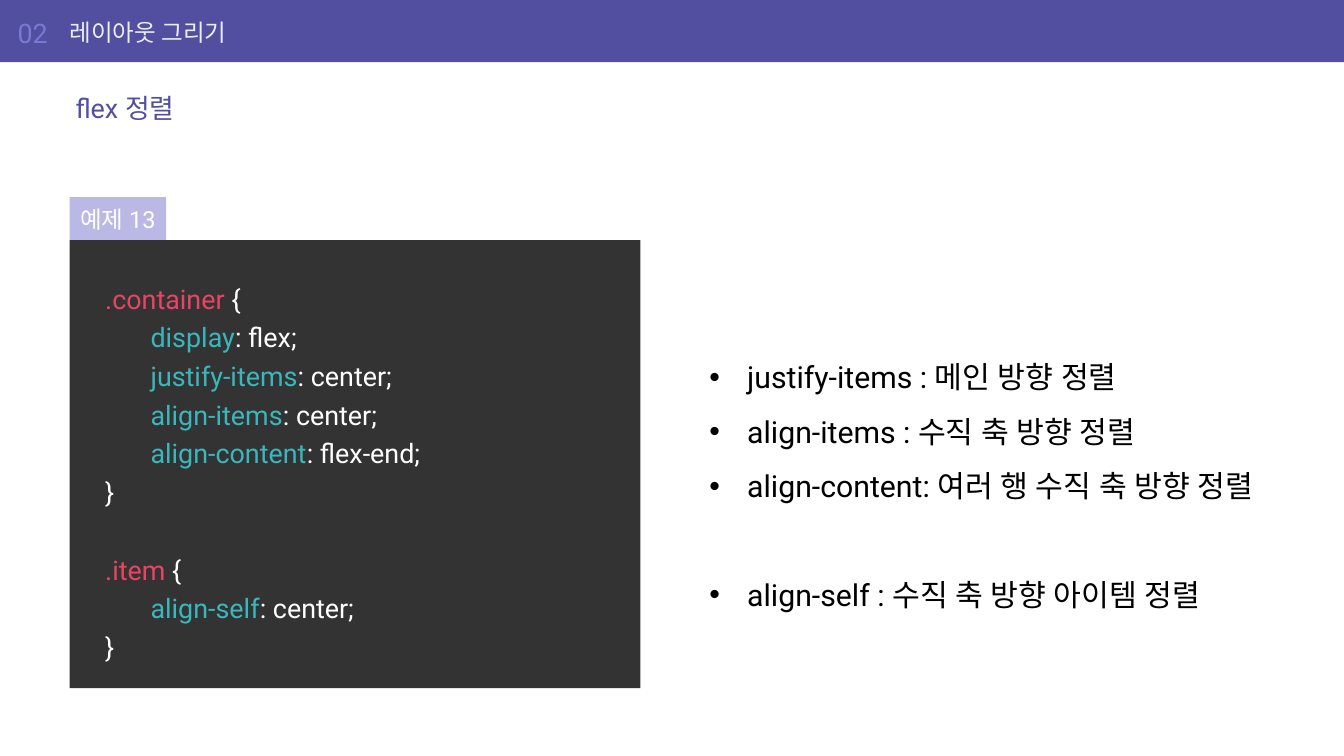
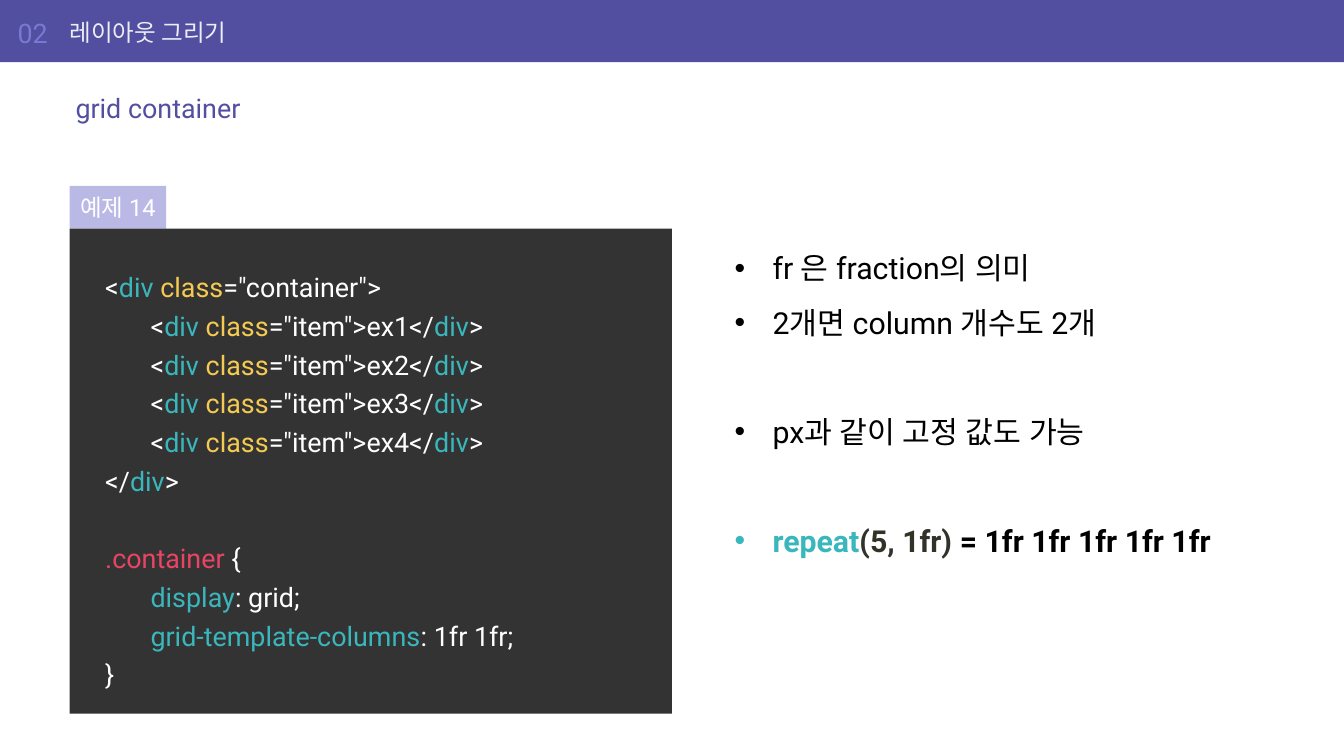
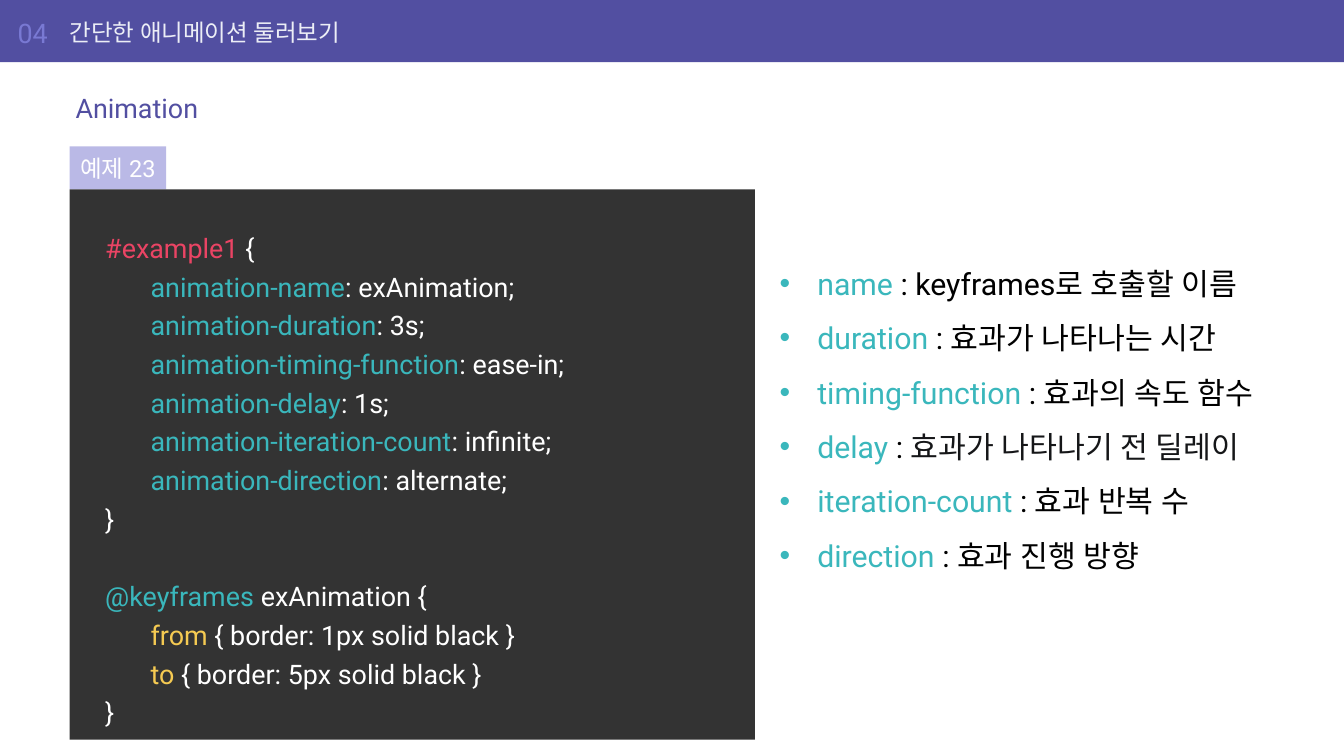
"""Build three lecture slides on CSS layout and animation."""
from dataclasses import dataclass
from typing import Any, NamedTuple

from lxml.etree import SubElement
from pptx import Presentation
from pptx.dml.color import RGBColor
from pptx.enum.shapes import MSO_SHAPE as Preset
from pptx.enum.text import MSO_ANCHOR as Anchor, PP_ALIGN as Align
from pptx.oxml.ns import qn
from pptx.slide import Slide
from pptx.util import Pt

COLOURS: dict[str, str] = {
    "band": "524FA1",
    "number": "7979D3",
    "chapter": "ECEEF6",
    "tag": "BAB9E6",
    "panel": "333333",
    "white": "FFFFFF",
    "black": "000000",
    "ink": "151618",
    "olive": "323228",
    "selector": "EA4464",
    "keyword": "3AB7BC",
    "attribute": "F5CA52",
}
FONT = "Roboto"
SLIDE_WIDTH, SLIDE_HEIGHT = 1600, 900
BAND_HEIGHT = 74
LEFT, RIGHT, REMARKS_BOTTOM = 82.8, 1517, 819.4
TAG_WIDTH, TAG_HEIGHT = 115, 51
CODE_INDENT, REMARK_INDENT = 54, 45


class Area(NamedTuple):
    left: float
    top: float
    width: float
    height: float


class Span(NamedTuple):
    text: str
    colour: str
    bold: bool = False


class Line(NamedTuple):
    spans: list[Span]
    gap_before: bool = False


@dataclass(frozen=True)
class Style:
    size: float
    frame: dict[str, Any]
    paragraph: dict[str, Any]
    gap: float = 0
    tab: float = 0
    bullet: float = 0


@dataclass(frozen=True)
class Lesson:
    number: str
    chapter: str
    topic: str
    example: str
    panel: Area
    code: list[Line]
    remarks_left: float
    remarks_top: float
    remarks: list[Line]


def margins(left: float, top: float, right: float, bottom: float) -> dict[str, Any]:
    """Return text frame margins in points."""
    return {"margin_left": Pt(left), "margin_top": Pt(top),
            "margin_right": Pt(right), "margin_bottom": Pt(bottom)}


HEADER_FRAME = {"word_wrap": True, "vertical_anchor": Anchor.MIDDLE, **margins(0, 3.6, 7.2, 3.6)}
FLUSH_LEFT = {"alignment": Align.LEFT}
NUMBER = Style(32, HEADER_FRAME, FLUSH_LEFT)
CHAPTER = Style(28, HEADER_FRAME, FLUSH_LEFT)
TOPIC = Style(32, {**HEADER_FRAME, "margin_left": Pt(7.2)}, FLUSH_LEFT)
TAG = Style(28, {"word_wrap": False, "vertical_anchor": Anchor.MIDDLE, **margins(7.2, 8.6, 7.2, 8.6)},
            {"alignment": Align.CENTER})
CODE = Style(32, {"word_wrap": False, "vertical_anchor": Anchor.TOP, **margins(42.5, 42.5, 42.5, 42.5)},
             {**FLUSH_LEFT, "line_spacing": 1.2}, gap=46, tab=CODE_INDENT)
REMARKS = Style(36, {"word_wrap": True, "vertical_anchor": Anchor.TOP, **margins(7.2, 3.6, 7.2, 3.6)},
                {**FLUSH_LEFT, "line_spacing": 1.5}, gap=64.8, bullet=REMARK_INDENT)


def apply(target: Any, values: dict[str, Any]) -> None:
    """Set every given attribute on the target."""
    for name, value in values.items():
        setattr(target, name, value)


def rgb(colour: str) -> RGBColor:
    """Look up a named colour."""
    return RGBColor.from_string(COLOURS[colour])


def add_block(slide: Slide, area: Area, fill: str) -> Any:
    """Draw a plain filled rectangle."""
    block = slide.shapes.add_shape(Preset.RECTANGLE, *map(Pt, area))
    block.shadow.inherit = False
    block.fill.solid()
    block.fill.fore_color.rgb = rgb(fill)
    block.line.fill.background()
    return block


def write_line(paragraph: Any, line: Line, style: Style) -> None:
    """Write one line of coloured spans."""
    apply(paragraph, style.paragraph)
    if line.gap_before:
        paragraph.space_before = Pt(style.gap)
    properties = paragraph._p.get_or_add_pPr()
    if style.bullet:
        properties.set("marL", str(Pt(style.bullet)))
        properties.set("indent", str(-Pt(style.bullet)))
        SubElement(properties, qn("a:buFont"), typeface="Arial")
        SubElement(properties, qn("a:buChar"), char="•")
    if style.tab:
        stops = SubElement(properties, qn("a:tabLst"))
        SubElement(stops, qn("a:tab"), pos=str(Pt(style.tab)), algn="l")
    for span in line.spans:
        run = paragraph.add_run()
        run.text = span.text
        apply(run.font, {"size": Pt(style.size), "name": FONT, "bold": span.bold})
        run.font.color.rgb = rgb(span.colour)
        SubElement(run._r.get_or_add_rPr(), qn("a:ea"), typeface=FONT)


def add_text(slide: Slide, area: Area, lines: list[Line], style: Style, fill: str = "") -> None:
    """Place lines of text, on a filled block if a fill is named."""
    holder = add_block(slide, area, fill) if fill else slide.shapes.add_textbox(*map(Pt, area))
    frame = holder.text_frame
    apply(frame, style.frame)
    for index, line in enumerate(lines):
        write_line(frame.add_paragraph() if index else frame.paragraphs[0], line, style)


def plain(text: str, colour: str, gap_before: bool = False) -> Line:
    """Make a line of one colour."""
    return Line([Span(text, colour)], gap_before)


def opening(selector: str, gap_before: bool = False) -> Line:
    """Make the first line of a CSS rule."""
    return Line([Span(selector, "selector"), Span(" {", "white")], gap_before)


def declaration(name: str, value: str) -> Line:
    """Make an indented CSS declaration."""
    return Line([Span(f"\t{name}", "keyword"), Span(f": {value};", "white")])


def keyframe(name: str, width: str) -> Line:
    """Make an indented keyframe with its border."""
    return Line([Span(f"\t{name}", "attribute"),
                 Span(f" {{ border: {width} solid black }}", "white")])


def div_start(indent: str, name: str, ending: str) -> list[Span]:
    """Make the opening tag of a div."""
    return [Span(f"{indent}<", "white"), Span("div ", "keyword"), Span("class", "attribute"),
            Span(f'="{name}">{ending}', "white")]


def div_item(content: str) -> Line:
    """Make an indented div with its content."""
    return Line([*div_start("\t", "item", f"{content}</"), Span("div", "keyword"), Span(">", "white")])


def term(name: str, meaning: str, colour: str = "black") -> Line:
    """Make a remark that explains a highlighted term."""
    return Line([Span(name, "keyword"), Span(" : ", "black"), Span(meaning, colour)])


CLOSING = plain("}", "white")

LESSONS = [
    Lesson(
        "02", "레이아웃 그리기", "flex 정렬", "예제 13",
        Area(LEFT, 285.8, 679.7, 533.5),
        [
            opening(".container"),
            declaration("display", "flex"),
            declaration("justify-items", "center"),
            declaration("align-items", "center"),
            declaration("align-content", "flex-end"),
            CLOSING,
            opening(".item", gap_before=True),
            declaration("align-self", "center"),
            CLOSING,
        ],
        837.4, 401.8,
        [
            plain("justify-items : 메인 방향 정렬", "black"),
            plain("align-items : 수직 축 방향 정렬", "black"),
            plain("align-content: 여러 행 수직 축 방향 정렬", "black"),
            plain("align-self : 수직 축 방향 아이템 정렬", "black", gap_before=True),
        ],
    ),
    Lesson(
        "02", "레이아웃 그리기", "grid container", "예제 14",
        Area(LEFT, 272.2, 717, 577.4),
        [
            Line(div_start("", "container", "")),
            *(div_item(f"ex{number}") for number in range(1, 5)),
            Line([Span("</", "white"), Span("div", "keyword"), Span(">", "white")]),
            opening(".container", gap_before=True),
            declaration("display", "grid"),
            declaration("grid-template-columns", "1fr 1fr"),
            CLOSING,
        ],
        867.6, 272.2,
        [
            plain("fr 은 fraction의 의미", "black"),
            plain("2개면 column 개수도 2개", "black"),
            plain("px과 같이 고정 값도 가능", "black", gap_before=True),
            Line([Span("repeat", "keyword", True), Span("(5, 1fr) ", "olive", True),
                  Span("= 1fr 1fr 1fr 1fr 1fr", "black", True)], gap_before=True),
        ],
    ),
    Lesson(
        "04", "간단한 애니메이션 둘러보기", "Animation", "예제 23",
        Area(LEFT, 225.4, 815.8, 655.2),
        [
            opening("#example1"),
            declaration("animation-name", "exAnimation"),
            declaration("animation-duration", "3s"),
            declaration("animation-timing-function", "ease-in"),
            declaration("animation-delay", "1s"),
            declaration("animation-iteration-count", "infinite"),
            declaration("animation-direction", "alternate"),
            CLOSING,
            Line([Span("@keyframes ", "keyword"), Span("exAnimation {", "white")], gap_before=True),
            keyframe("from", "1px"),
            keyframe("to", "5px"),
            CLOSING,
        ],
        920.9, 290.2,
        [
            term("name", "keyframes로 호출할 이름"),
            term("duration", "효과가 나타나는 시간"),
            term("timing-function", "효과의 속도 함수"),
            term("delay", "효과가 나타나기 전 딜레이", "ink"),
            term("iteration-count", "효과 반복 수"),
            term("direction", "효과 진행 방향"),
        ],
    ),
]


def add_header(slide: Slide, lesson: Lesson) -> None:
    """Draw the band with chapter and the topic below it."""
    add_block(slide, Area(0, 0, SLIDE_WIDTH, BAND_HEIGHT), "band")
    add_text(slide, Area(20.9, 10.8, 62.6, 55.4), [plain(lesson.number, "number")], NUMBER)
    add_text(slide, Area(LEFT, 10.8, 1352, 55.4), [plain(lesson.chapter, "chapter")], CHAPTER)
    add_text(slide, Area(LEFT, 100.8, RIGHT - LEFT, 55.4), [plain(lesson.topic, "band")], TOPIC)


def add_lesson(slide: Slide, lesson: Lesson) -> None:
    """Draw the header, the tagged code panel and the remarks."""
    add_header(slide, lesson)
    tag = Area(LEFT, lesson.panel.top - TAG_HEIGHT, TAG_WIDTH, TAG_HEIGHT)
    remarks = Area(lesson.remarks_left, lesson.remarks_top,
                   RIGHT - lesson.remarks_left, REMARKS_BOTTOM - lesson.remarks_top)
    add_text(slide, tag, [plain(lesson.example, "white")], TAG, "tag")
    add_text(slide, remarks, lesson.remarks, REMARKS)
    add_text(slide, lesson.panel, lesson.code, CODE, "panel")


def main() -> None:
    """Build and save the presentation."""
    deck = Presentation()
    apply(deck, {"slide_width": Pt(SLIDE_WIDTH), "slide_height": Pt(SLIDE_HEIGHT)})
    for lesson in LESSONS:
        add_lesson(deck.slides.add_slide(deck.slide_layouts[6]), lesson)
    deck.save("out.pptx")


if __name__ == "__main__":
    main()
